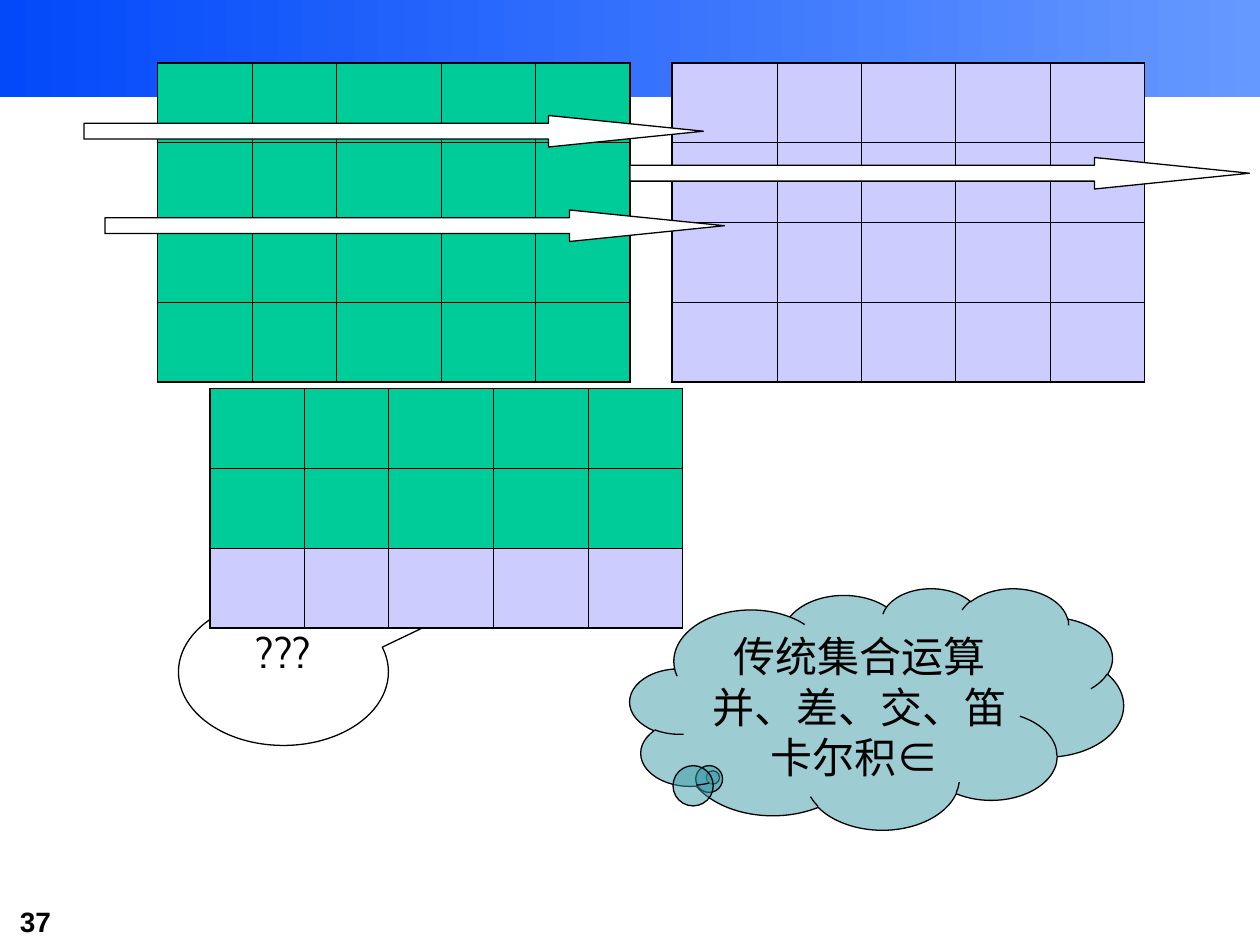
from dataclasses import dataclass

from lxml.etree import SubElement
from pptx import Presentation
from pptx.dml.color import RGBColor
from pptx.enum.shapes import MSO_SHAPE
from pptx.enum.text import MSO_ANCHOR, PP_ALIGN
from pptx.oxml.ns import qn
from pptx.util import Cm, Pt


@dataclass(frozen=True)
class Theme:
    black: str = "000000"
    white: str = "FFFFFF"
    green: str = "00CC99"
    lilac: str = "CCCCFF"
    cloud: str = "3C9BA8"
    band: tuple = ("0249FA", "6699FF")
    body_font: str = "Cabin"
    list_font: str = "Times New Roman"
    number_font: str = "Arial"
    body_size: int = 24
    number_size: int = 16
    outline: float = 0.75
    frame_line: float = 1.08
    grid_line: float = 0.45


def u(n):
    """Length of n grid units, twelve to the inch."""
    return Cm(n * 2.54 / 12)


def rgb(color):
    return RGBColor.from_string(color)


def add_run(p, text, *, font, size, color, bold=False):
    r = p.add_run()
    r.text = text
    r.font.name = font
    r.font.size = Pt(size)
    r.font.color.rgb = rgb(color)
    r.font.bold = bold


class SlideBuilder:
    def __init__(self, slide, theme):
        self.s = slide
        self.theme = theme

    def shape(self, kind, x, y, w, h, *, fill=None, adj=(), alpha=None):
        sp = self.s.shapes.add_shape(kind, u(x), u(y), u(w), u(h))
        sp.shadow.inherit = False
        for i, value in enumerate(adj):
            sp.adjustments[i] = value
        if fill:
            sp.fill.solid()
            sp.fill.fore_color.rgb = rgb(fill)
        if alpha is not None:
            color = sp.fill._xPr.find(qn("a:solidFill"))[0]
            SubElement(color, qn("a:alpha"), val=str(alpha * 1000))
        sp.line.color.rgb = rgb(self.theme.black)
        sp.line.width = Pt(self.theme.outline)
        return sp

    def band(self, height):
        sp = self.shape(MSO_SHAPE.RECTANGLE, 0, 0, 120, height)
        sp.line.fill.background()
        sp.fill.gradient()
        sp.fill.gradient_angle = 0
        for i, (stop, color) in enumerate(zip(sp.fill.gradient_stops, self.theme.band)):
            stop.position = i
            stop.color.rgb = rgb(color)

    def arrow(self, x, y):
        self.shape(MSO_SHAPE.RIGHT_ARROW, x, y, 59, 3,
                   fill=self.theme.white, adj=(0.5, 4.917))

    def callout(self, kind, x, y, w, h, paragraphs, **style):
        """Each paragraph is a list of (text, font) pairs."""
        t = self.theme
        tf = self.shape(kind, x, y, w, h, **style).text_frame
        tf.word_wrap = True
        tf.vertical_anchor = MSO_ANCHOR.TOP
        for i, runs in enumerate(paragraphs):
            p = tf.add_paragraph() if i else tf.paragraphs[0]
            p.alignment = PP_ALIGN.CENTER
            for text, font in runs:
                add_run(p, text, font=font, size=t.body_size, color=t.black)

    def slide_number(self, text):
        t = self.theme
        tf = self.s.shapes.add_textbox(Cm(0.15), Cm(18.11), Cm(3.1), Cm(0.94)).text_frame
        tf.word_wrap = True
        add_run(tf.paragraphs[0], text, font=t.number_font, size=t.number_size,
                color=t.black, bold=True)

    def grid(self, x, y, col_widths, row_fills, row_height=7.6):
        """Empty table with one fill per row and a heavier outer frame."""
        rows, cols = len(row_fills), len(col_widths)
        table = self.s.shapes.add_table(rows, cols, u(x), u(y), u(sum(col_widths)),
                                        u(rows * row_height)).table
        table.first_row = table.horz_banding = False
        for col, width in zip(table.columns, col_widths):
            col.width = u(width)
        for i, fill in enumerate(row_fills):
            table.rows[i].height = u(row_height)
            for j in range(cols):
                cell = table.cell(i, j)
                self.borders(cell, L=j == 0, R=j == cols - 1, T=i == 0, B=i == rows - 1)
                cell.fill.solid()
                cell.fill.fore_color.rgb = rgb(fill)

    def borders(self, cell, **on_frame):
        t = self.theme
        tcPr = cell._tc.get_or_add_tcPr()
        for side, outer in on_frame.items():
            width = Pt(t.frame_line if outer else t.grid_line)
            ln = SubElement(tcPr, qn(f"a:ln{side}"), w=str(width))
            SubElement(SubElement(ln, qn("a:solidFill")), qn("a:srgbClr"), val=t.black)


def main():
    prs = Presentation()
    prs.slide_width, prs.slide_height = Cm(25.4), Cm(19.05)
    t = Theme()
    b = SlideBuilder(prs.slides.add_slide(prs.slide_layouts[6]), t)

    b.band(9.24)
    b.slide_number("37")
    left_cols, right_cols = (9, 8, 10, 9, 9), (10, 8, 9, 9, 9)
    b.grid(15, 6, left_cols, [t.green] * 4)
    b.grid(64, 6, right_cols, [t.lilac] * 4)
    b.callout(MSO_SHAPE.OVAL_CALLOUT, 17, 57, 20, 14, [[("???", t.body_font)]],
              fill=t.white, adj=(1.708, -1.015))
    b.grid(20, 37, left_cols, [t.green, t.green, t.lilac])
    for x, y in ((8, 11), (10, 20), (60, 15)):
        b.arrow(x, y)
    b.callout(MSO_SHAPE.CLOUD_CALLOUT, 60, 56, 47, 23,
              [[("传统集合运算", t.body_font)],
               [("并、差、交、笛卡尔积", t.list_font), ("∈ ", t.body_font)]],
              fill=t.cloud, alpha=50, adj=(-0.332, 0.285))
    prs.save("out.pptx")


if __name__ == "__main__":
    main()
